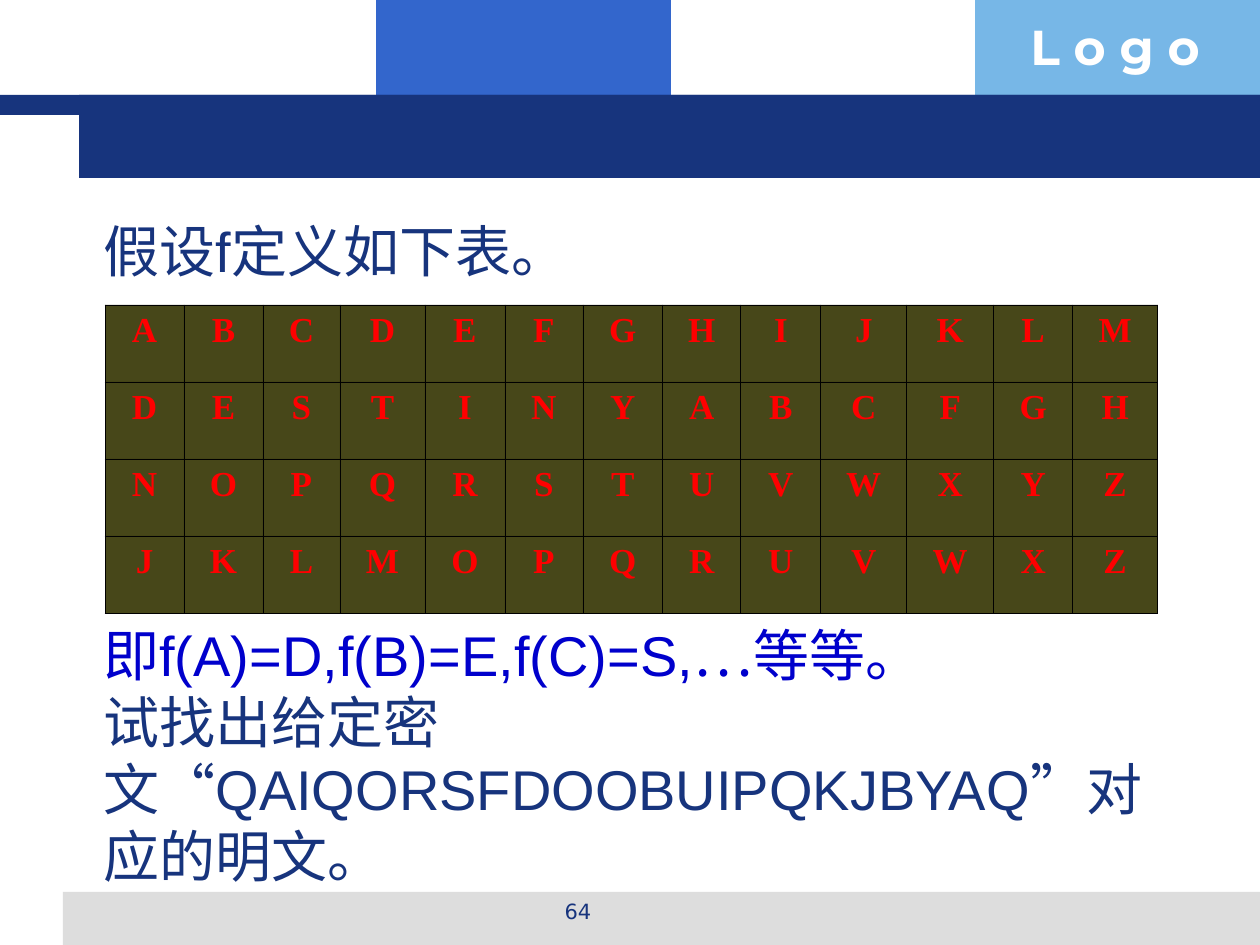
import dataclasses

import pptx
import pptx.dml.color
import pptx.enum.shapes
import pptx.enum.text
import pptx.oxml
import pptx.oxml.ns
import pptx.util
from lxml import etree

SCALE = 914400 / 126  # EMU in one px
CENTER = pptx.enum.text.PP_ALIGN.CENTER
LEFT = pptx.enum.text.PP_ALIGN.LEFT


@dataclasses.dataclass(frozen=True)
class Theme:
    navy: str = "17347D"
    blue: str = "3366CC"
    sky: str = "77B7E7"
    gray: str = "DDDDDD"
    white: str = "FFFFFF"
    vivid: str = "0000CC"
    red: str = "FF0000"
    olive: str = "333300"
    black: str = "000000"
    sans: str = "Arial"
    serif: str = "Times New Roman"
    han: str = "Noto Sans CJK SC"
    brand: str = "Montserrat"
    digit: str = "DejaVu Sans"
    body: int = 32
    logo: int = 28
    cell: int = 20
    foot: int = 12


@dataclasses.dataclass(frozen=True)
class Box:
    left: int
    top: int
    width: int
    height: int
    color: str = ""


THEME = Theme()

BANDS = (
    Box(376, 0, 295, 116, THEME.blue),
    Box(975, 0, 285, 116, THEME.sky),
    Box(63, 892, 1197, 53, THEME.gray),
    Box(0, 95, 1260, 20, THEME.navy),
    Box(79, 95, 1181, 83, THEME.navy),
)
LOGO = Box(1018, 10, 242, 72)
NUMBER = Box(431, 892, 294, 44)
BODY = Box(91, 210, 1109, 702)
GRID = Box(105, 305, 1053, 308, THEME.olive)

WIDTHS = (79, 79, 77, 85, 80, 78, 80, 78, 80, 86, 87, 79, 85)
ROWS = ("ABCDEFGHIJKLM", "DESTINYABCFGH", "NOPQRSTUVWXYZ", "JKLMOPQRUVWXZ")
GAP = 192.5  # points left free for the table

EXAMPLE = (
    ("即f(A)=D,f(B)=E,f(C)=S,", THEME.sans),
    ("…", THEME.han),
    ("等等。", THEME.sans),
)
TASK = (
    ("试找出给定密文", THEME.sans),
    ("“", THEME.han),
    ("QAIQORSFDOOBUIPQKJBYAQ", THEME.sans),
    ("”", THEME.han),
    ("对应的明文。", THEME.sans),
)


def px(size: int) -> int:
    return round(size * SCALE)


def rgb(color: str) -> pptx.dml.color.RGBColor:
    return pptx.dml.color.RGBColor.from_string(color)


def place(box: Box) -> tuple[int, ...]:
    """Left, top, width and height in EMU."""
    return tuple(map(px, (box.left, box.top, box.width, box.height)))


def write(para, text: str, *, size: int, color: str, font: str = THEME.sans,
          bold: bool = False, align=LEFT) -> None:
    """Append one formatted run to a paragraph."""
    para.alignment = align
    run = para.add_run()
    run.text = text
    run.font.size = pptx.util.Pt(size)
    run.font.name = font
    run.font.bold = bold
    run.font.color.rgb = rgb(color)
    east = etree.SubElement(run.font._element, pptx.oxml.ns.qn("a:ea"))
    east.set("typeface", THEME.han)


def frame(slide, box: Box):
    text = slide.shapes.add_textbox(*place(box)).text_frame
    text.word_wrap = True
    return text


def band(slide, box: Box) -> None:
    kind = pptx.enum.shapes.MSO_SHAPE.RECTANGLE
    shape = slide.shapes.add_shape(kind, *place(box))
    shape.shadow.inherit = False
    shape.fill.solid()
    shape.fill.fore_color.rgb = rgb(box.color)
    shape.line.fill.background()


def style(cell, color: str) -> None:
    """Give a cell thin borders and a 90 % opaque fill."""
    props = cell._tc.get_or_add_tcPr()
    space = pptx.oxml.ns.nsdecls("a")
    for side in "LRTB":
        props.append(pptx.oxml.parse_xml(
            f'<a:ln{side} {space} w="5715"><a:solidFill>'
            f'<a:srgbClr val="{THEME.black}"/></a:solidFill></a:ln{side}>'))
    props.append(pptx.oxml.parse_xml(
        f'<a:solidFill {space}><a:srgbClr val="{color}">'
        '<a:alpha val="90000"/></a:srgbClr></a:solidFill>'))


def cipher(slide) -> None:
    """Draw plain and cipher letters in alternating rows."""
    table = slide.shapes.add_table(len(ROWS), len(WIDTHS), *place(GRID)).table
    table.first_row = table.horz_banding = False
    for col, width in zip(table.columns, WIDTHS):
        col.width = px(width)
    for row, line in zip(table.rows, ROWS):
        row.height = px(GRID.height // len(ROWS))
        for cell, letter in zip(row.cells, line):
            style(cell, GRID.color)
            write(cell.text_frame.paragraphs[0], letter, size=THEME.cell,
                  color=THEME.red, font=THEME.serif, bold=True, align=CENTER)


def prose(slide) -> None:
    text = frame(slide, BODY)
    write(text.paragraphs[0], "假设f定义如下表。", size=THEME.body, color=THEME.navy)
    for parts, color, gap in ((EXAMPLE, THEME.vivid, GAP), (TASK, THEME.navy, 0)):
        para = text.add_paragraph()
        para.space_before = pptx.util.Pt(gap)
        for part, font in parts:
            write(para, part, size=THEME.body, color=color, font=font)


def main() -> None:
    deck = pptx.Presentation()
    deck.slide_width, deck.slide_height = px(1260), px(945)
    slide = deck.slides.add_slide(deck.slide_layouts[6])
    for box in BANDS:
        band(slide, box)
    write(frame(slide, LOGO).paragraphs[0], "L o g o", size=THEME.logo,
          color=THEME.white, font=THEME.brand, bold=True)
    write(frame(slide, NUMBER).paragraphs[0], "64", size=THEME.foot,
          color=THEME.navy, font=THEME.digit, align=CENTER)
    prose(slide)
    cipher(slide)
    deck.save("out.pptx")


if __name__ == "__main__":
    main()
